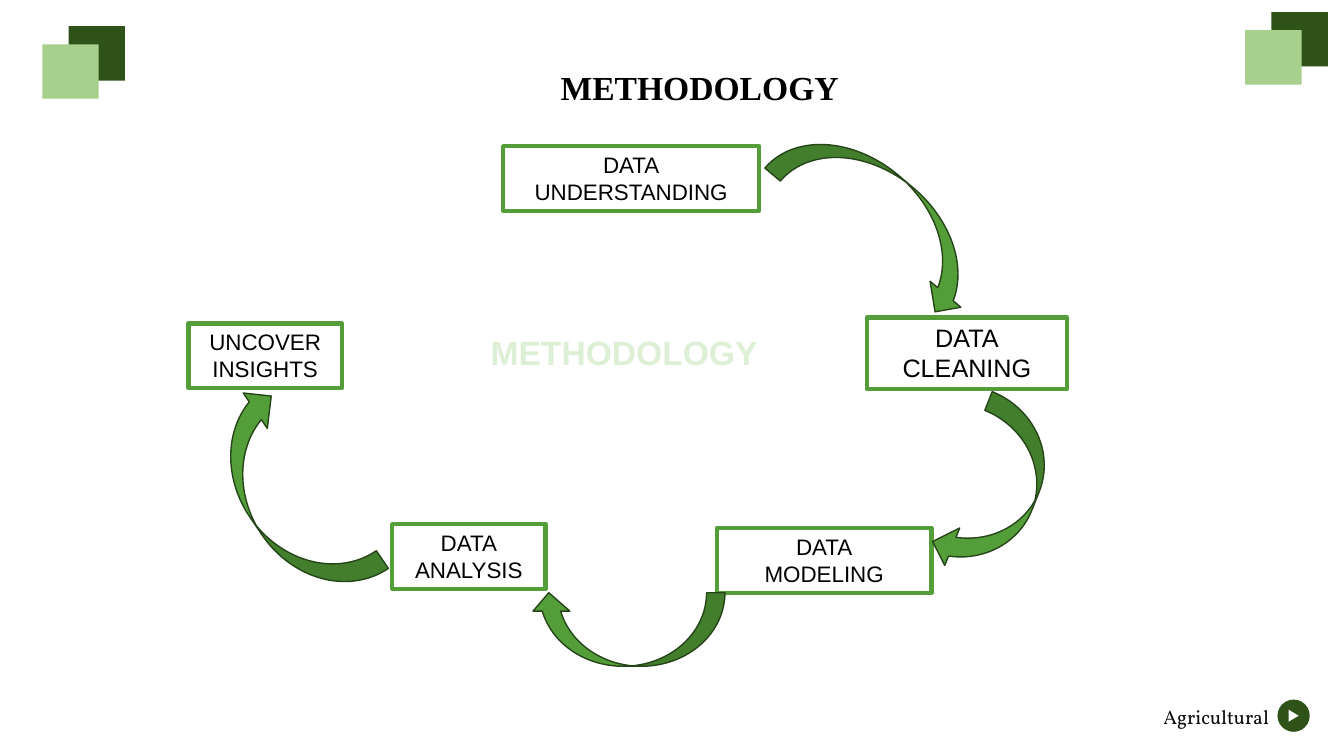
from dataclasses import dataclass
from typing import Any, Optional

import pptx
import pptx.dml.color
import pptx.enum.shapes
import pptx.enum.text
import pptx.util

Inches = pptx.util.Inches
Kind = pptx.enum.shapes.MSO_SHAPE
Align = pptx.enum.text.PP_ALIGN
Anchor = pptx.enum.text.MSO_ANCHOR


@dataclass(frozen=True)
class Theme:
    dark: str = "2F5218"
    light: str = "A8D08D"
    green: str = "549E39"
    edge: str = "254519"
    pale: str = "DDF0D6"
    white: str = "FFFFFF"
    black: str = "000000"
    ink: str = "0D0D0D"
    sans: str = "Arial"
    serif: str = "Times New Roman"
    brand: str = "Vollkorn"
    head: int = 24
    large: int = 18
    body: int = 16
    small: int = 14


THEME = Theme()


@dataclass(frozen=True)
class Frame:
    left: float
    top: float
    width: float
    height: float
    turn: float = 0


@dataclass(frozen=True)
class Style:
    size: int
    font: str = THEME.sans
    color: str = THEME.black
    bold: bool = False


@dataclass(frozen=True)
class Step:
    frame: Frame
    lines: tuple[str, ...]
    size: int = THEME.body


STEPS = (
    Step(Frame(4.99, 1.45, 2.54, 0.64), ("DATA", "UNDERSTANDING")),
    Step(Frame(8.6, 3.15, 1.98, 0.71), ("DATA", "CLEANING"), THEME.large),
    Step(Frame(7.11, 5.24, 2.13, 0.64), ("DATA", "MODELING")),
    Step(Frame(3.89, 5.2, 1.52, 0.64), ("DATA", "ANALYSIS")),
    Step(Frame(1.87, 3.21, 1.52, 0.64), ("UNCOVER", "INSIGHTS")),
)
ARROWS = (
    Frame(7.56, 1.74, 2.41, 0.8, 40.2),
    Frame(8.98, 4.47, 1.8, 0.8, 111.7),
    Frame(5.26, 5.88, 1.93, 0.73, 180),
    Frame(1.72, 4.51, 2.28, 0.85, 235.8),
)


def tint(code: str) -> pptx.dml.color.RGBColor:
    return pptx.dml.color.RGBColor.from_string(code)


def place(frame: Frame) -> tuple[int, ...]:
    return tuple(Inches(n) for n in (frame.left, frame.top, frame.width, frame.height))


def draw(shapes: Any, kind: Kind, frame: Frame, fill: Optional[str] = None,
         line: Optional[str] = None, weight: float = 1) -> Any:
    shape = shapes.add_shape(kind, *place(frame))
    shape.rotation = frame.turn
    shape.shadow.inherit = False
    if fill:
        shape.fill.solid()
        shape.fill.fore_color.rgb = tint(fill)
    else:
        shape.fill.background()
    if line:
        shape.line.color.rgb = tint(line)
        shape.line.width = pptx.util.Pt(weight)
    else:
        shape.line.fill.background()
    return shape


def write(shape: Any, lines: tuple[str, ...], style: Style, align: Align = Align.CENTER,
          anchor: Anchor = Anchor.TOP, wrap: bool = True) -> None:
    frame = shape.text_frame
    frame.word_wrap = wrap
    frame.vertical_anchor = anchor
    for index, line in enumerate(lines):
        para = frame.add_paragraph() if index else frame.paragraphs[0]
        para.alignment = align
        run = para.add_run()
        run.text = line
        run.font.size = pptx.util.Pt(style.size)
        run.font.name = style.font
        run.font.bold = style.bold
        run.font.color.rgb = tint(style.color)


def squares(shapes: Any, left: float, top: float) -> None:
    group = shapes.add_group_shape().shapes
    draw(group, Kind.RECTANGLE, Frame(left + 0.26, top, 0.56, 0.54), THEME.dark)
    draw(group, Kind.RECTANGLE, Frame(left, top + 0.18, 0.56, 0.54), THEME.light)


def footer(shapes: Any) -> None:
    group = shapes.add_group_shape().shapes
    draw(group, Kind.OVAL, Frame(12.67, 6.94, 0.32, 0.32), THEME.dark)
    draw(group, Kind.ISOSCELES_TRIANGLE, Frame(12.77, 7.05, 0.12, 0.1, 90), THEME.white)
    label = group.add_textbox(*place(Frame(11.44, 6.94, 1.28, 0.34)))
    write(label, ("Agricultural",), Style(THEME.small, THEME.brand, THEME.ink),
          Align.LEFT, wrap=False)


def main() -> None:
    deck = pptx.Presentation()
    deck.slide_width = Inches(13.33)
    deck.slide_height = Inches(7.5)
    shapes = deck.slides.add_slide(deck.slide_layouts[6]).shapes

    title = shapes.add_textbox(*place(Frame(1.7, 0.53, 10.48, 0.89)))
    write(title, ("METHODOLOGY",), Style(THEME.head, THEME.serif, bold=True))
    title.text_frame.margin_top = Inches(0.13)

    footer(shapes)
    squares(shapes, 12.35, 0.12)
    center = shapes.add_textbox(*place(Frame(4.69, 3.24, 3, 0.5)))
    write(center, ("METHODOLOGY",), Style(THEME.head, color=THEME.pale, bold=True),
          anchor=Anchor.MIDDLE)

    for step in STEPS:
        box = draw(shapes, Kind.RECTANGLE, step.frame, line=THEME.green, weight=3)
        write(box, step.lines, Style(step.size))
    for arrow in ARROWS:
        draw(shapes, Kind.CURVED_DOWN_ARROW, arrow, THEME.green, THEME.edge)
    squares(shapes, 0.42, 0.26)
    deck.save("out.pptx")


if __name__ == "__main__":
    main()
